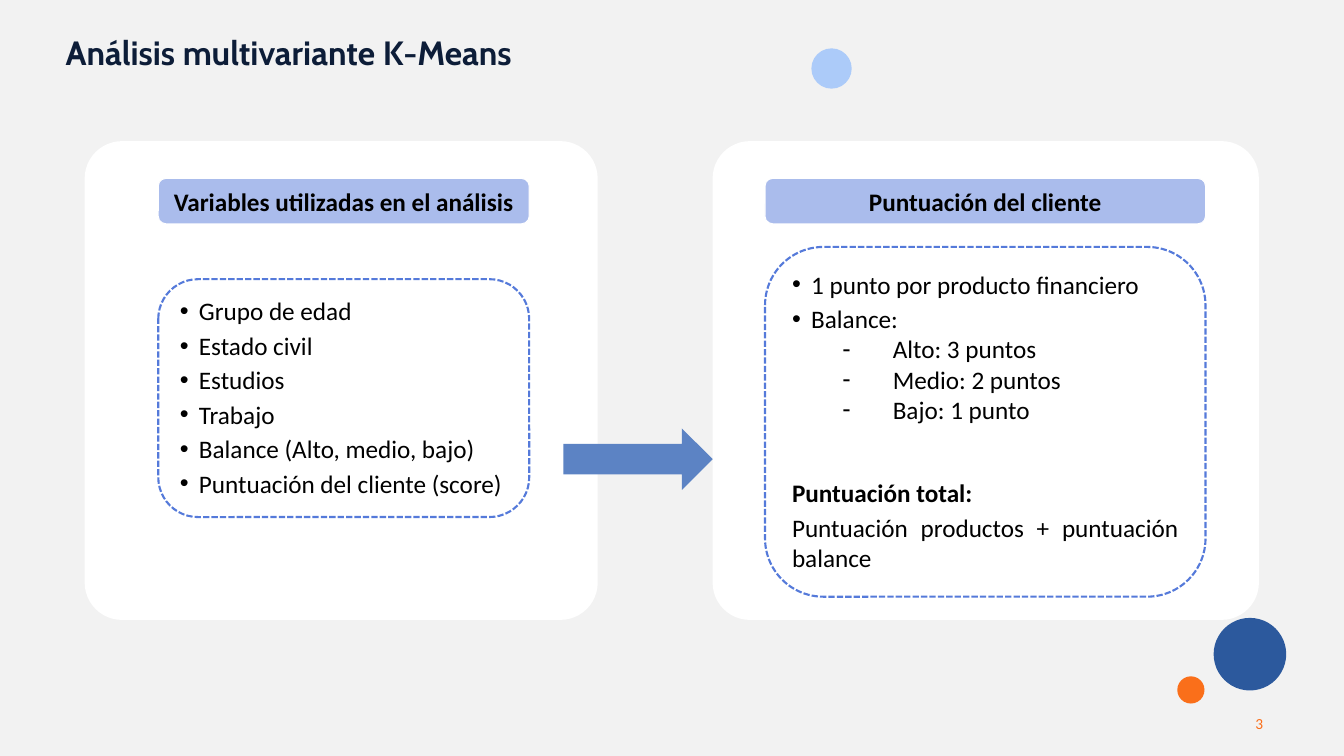
from dataclasses import dataclass
from typing import Optional

from lxml.etree import SubElement
from pptx import Presentation
from pptx.dml.color import RGBColor
from pptx.enum.dml import MSO_LINE
from pptx.enum.shapes import MSO_SHAPE as Geo
from pptx.enum.text import MSO_ANCHOR as Anchor, MSO_AUTO_SIZE as AutoSize, PP_ALIGN as Align
from pptx.oxml.ns import qn
from pptx.util import Inches, Pt

COLS, ROWS = 80, 45
WIDTH, HEIGHT = Inches(13.333), Inches(7.5)
BODY_SIZE = 18
BLACK, WHITE, ORANGE = "000000", "FFFFFF", "FA6F1A"


@dataclass(frozen=True)
class Box:
    """A rectangle in grid columns and rows."""
    col: float
    row: float
    cols: float
    rows: float

    def emu(self) -> tuple[int, int, int, int]:
        """Return left, top, width and height in EMU."""
        return (int(self.col * WIDTH / COLS), int(self.row * HEIGHT / ROWS),
                int(self.cols * WIDTH / COLS), int(self.rows * HEIGHT / ROWS))


@dataclass(frozen=True)
class Line:
    """A paragraph of body text."""
    text: str
    bullet: str = ""
    indent: float = 0
    hang: float = 0
    before: float = 3
    align: Align = Align.JUSTIFY
    bold: bool = False
    level: int = 0


@dataclass(frozen=True)
class Panel:
    """A white card with a heading and a dashed list box."""
    card: Box
    heading: str
    heading_box: Box
    list_box: Box
    lines: list[Line]


@dataclass(frozen=True)
class Dot:
    """A decorative circle."""
    col: float
    row: float
    size: float
    color: str


def item(text: str) -> Line:
    """Return a first-level bulleted line."""
    return Line(text, "•", 0.19, 0.19)


def subitem(text: str) -> Line:
    """Return a dashed second-level line."""
    return Line(text, "-", 1, 0.5, 0, Align.LEFT, level=1)


DOTS = [
    Dot(48.3, 2.88, 2.4, "ACCBF9"),
    Dot(72.24, 36.78, 4.32, "2C599D"),
    Dot(70.08, 40.26, 1.62, ORANGE),
]
PANELS = [
    Panel(
        Box(5.04, 8.4, 30.54, 28.5),
        "Variables utilizadas en el análisis",
        Box(9.42, 10.62, 22.08, 2.7),
        Box(9.42, 16.62, 22.08, 14.16),
        [item(t) for t in ("Grupo de edad", "Estado civil", "Estudios", "Trabajo",
                           "Balance (Alto, medio, bajo)", "Puntuación del cliente (score)")],
    ),
    Panel(
        Box(42.42, 8.4, 32.52, 28.5),
        "Puntuación del cliente",
        Box(45.54, 10.62, 26.22, 2.7),
        Box(45.54, 14.7, 26.22, 20.82),
        [
            item("1 punto por producto financiero"),
            item("Balance:"),
            *(subitem(t) for t in ("Alto: 3 puntos", "Medio: 2 puntos", "Bajo: 1 punto")),
            Line("Puntuación total:", before=38, bold=True),
            Line("Puntuación productos + puntuación balance"),
        ],
    ),
]


def rgb(color: str) -> RGBColor:
    """Turn a hex string into a colour."""
    return RGBColor.from_string(color)


def add_run(p, text: str, size: float, color: str = BLACK, bold: bool = False,
            font: str = "Calibri") -> None:
    """Append a formatted run to a paragraph."""
    r = p.add_run()
    r.text = text
    r.font.name, r.font.size, r.font.bold = font, Pt(size), bold
    r.font.color.rgb = rgb(color)


def add_form(s, geo: Geo, box: Box, fill: Optional[str] = None, line: Optional[str] = None,
             weight: float = 0.75, adj: Optional[float] = None):
    """Add a flat preset shape."""
    sp = s.shapes.add_shape(geo, *box.emu())
    sp.shadow.inherit = False
    if fill:
        sp.fill.solid()
        sp.fill.fore_color.rgb = rgb(fill)
    else:
        sp.fill.background()
    if line:
        sp.line.color.rgb = rgb(line)
        sp.line.width = Pt(weight)
    else:
        sp.line.fill.background()
    if adj is not None:
        sp.adjustments[0] = adj
    return sp


def write_line(p, line: Line) -> None:
    """Fill a paragraph with a body line and its bullet."""
    p.alignment, p.level = line.align, line.level
    p.space_before = Pt(line.before)
    if line.bullet:
        ppr = p._p.get_or_add_pPr()
        ppr.set("marL", str(Inches(line.indent)))
        ppr.set("indent", str(-Inches(line.hang)))
        SubElement(ppr, qn("a:buFont")).set("typeface", "Arial")
        SubElement(ppr, qn("a:buChar")).set("char", line.bullet)
    add_run(p, line.text, BODY_SIZE, bold=line.bold)


def add_panel(s, panel: Panel) -> None:
    """Draw a card, its heading and its list."""
    add_form(s, Geo.ROUNDED_RECTANGLE, panel.card, WHITE, adj=0.078)
    sp = add_form(s, Geo.ROUNDED_RECTANGLE, panel.list_box, line="557ADA", weight=1.5)
    sp.line.dash_style = MSO_LINE.SQUARE_DOT
    tf = sp.text_frame
    tf.word_wrap, tf.vertical_anchor = True, Anchor.TOP
    for i, line in enumerate(panel.lines):
        write_line(tf.add_paragraph() if i else tf.paragraphs[0], line)
    sp = add_form(s, Geo.ROUNDED_RECTANGLE, panel.heading_box, "AABCEC", WHITE)
    p = sp.text_frame.paragraphs[0]
    p.alignment = Align.CENTER
    add_run(p, panel.heading, BODY_SIZE, bold=True)


def add_title(s, text: str, box: Box) -> None:
    """Place and format the title placeholder."""
    sp = s.shapes.title
    sp.left, sp.top, sp.width, sp.height = box.emu()
    tf = sp.text_frame
    tf.auto_size, tf.vertical_anchor = AutoSize.NONE, Anchor.TOP
    p = tf.paragraphs[0]
    p.alignment = Align.LEFT
    add_run(p, text, 24, "0D1D38", True, "Cabin")


def add_page_number(s, text: str, box: Box) -> None:
    """Add the page number at the lower right."""
    tf = s.shapes.add_textbox(*box.emu()).text_frame
    tf.word_wrap, tf.vertical_anchor = True, Anchor.MIDDLE
    p = tf.paragraphs[0]
    p.alignment = Align.RIGHT
    add_run(p, text, 11, ORANGE)


def main() -> None:
    """Build and save the slide."""
    prs = Presentation()
    prs.slide_width, prs.slide_height = WIDTH, HEIGHT
    s = prs.slides.add_slide(prs.slide_layouts[5])
    s.background.fill.solid()
    s.background.fill.fore_color.rgb = rgb("F2F2F2")
    add_page_number(s, "3", Box(57.78, 41.88, 18, 2.4))
    for dot in DOTS:
        add_form(s, Geo.OVAL, Box(dot.col, dot.row, dot.size, dot.size), dot.color)
    add_title(s, "Análisis multivariante K-Means", Box(3.3, 1.62, 73.68, 3))
    for panel in PANELS:
        add_panel(s, panel)
    add_form(s, Geo.RIGHT_ARROW, Box(33.54, 25.5, 8.88, 3.66), "5C83C4")
    prs.save("out.pptx")


if __name__ == "__main__":
    main()
